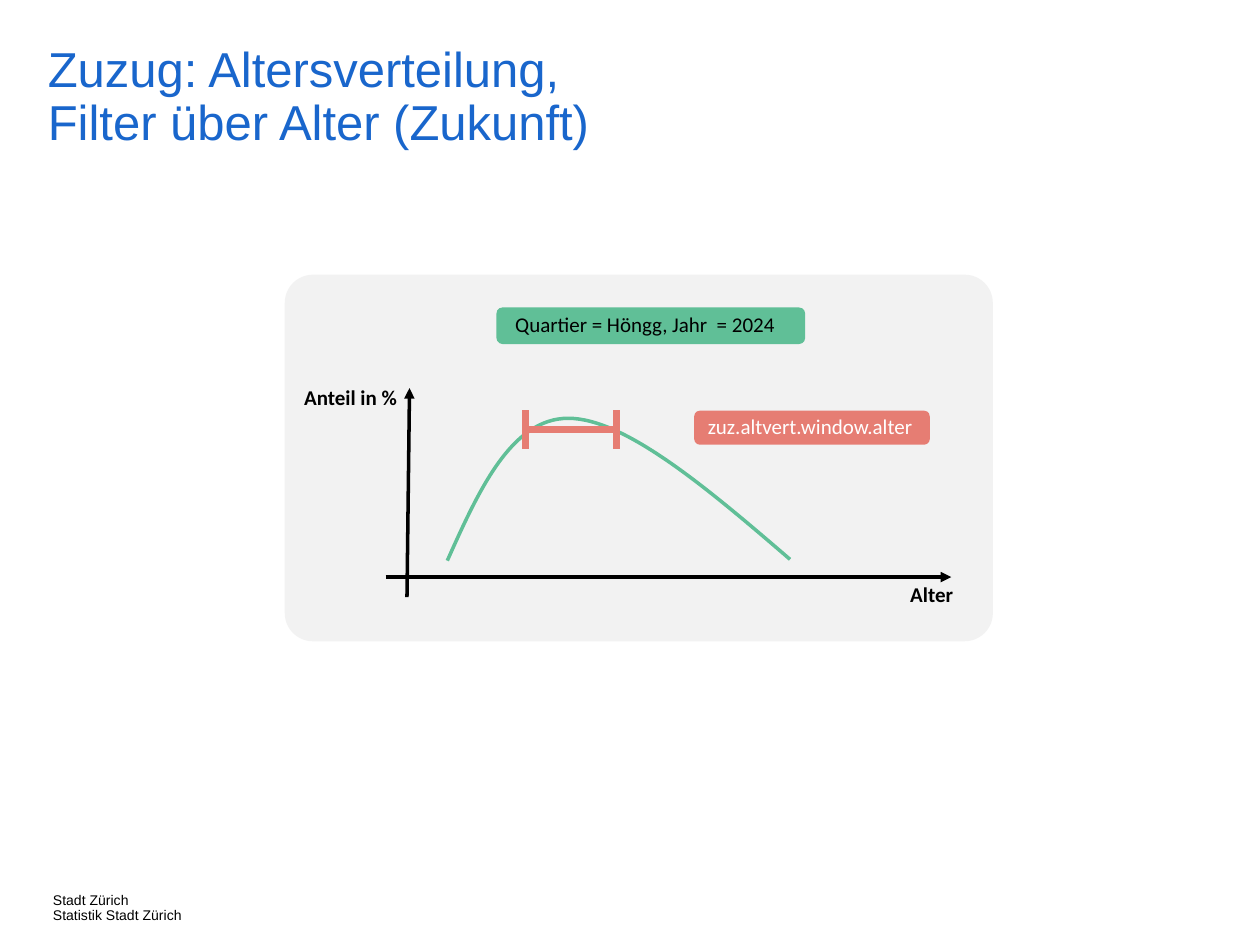
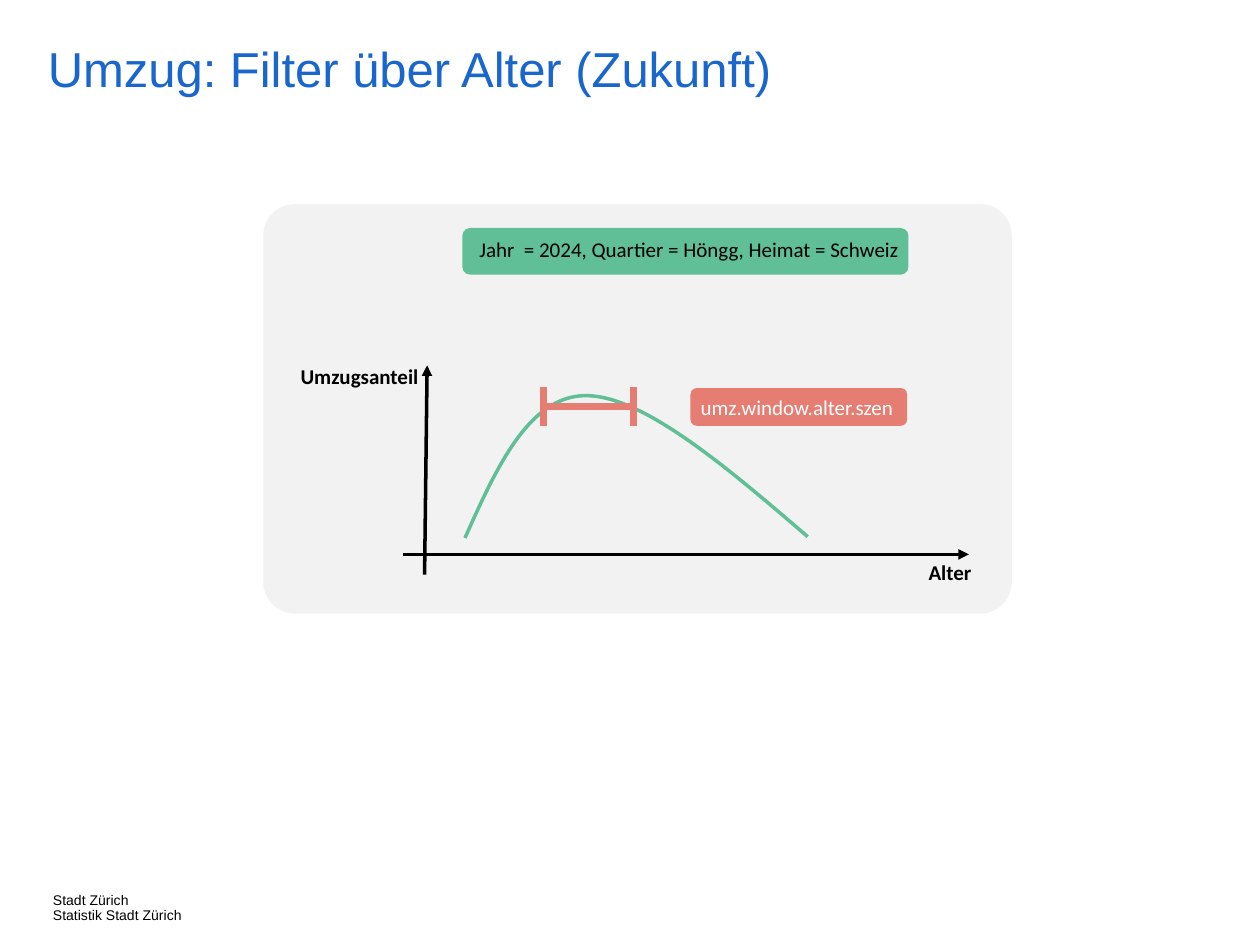
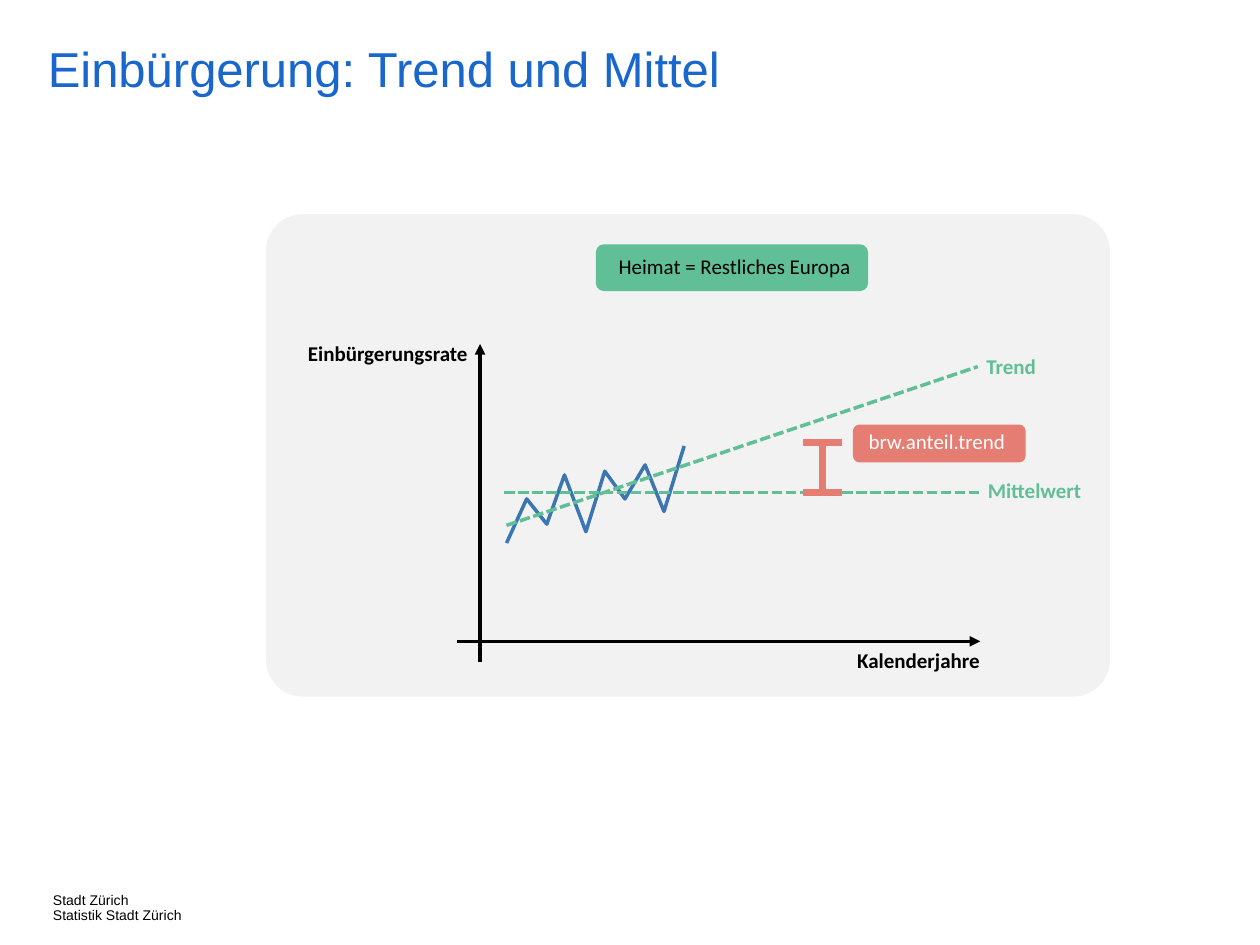
from dataclasses import dataclass
from typing import Optional

import lxml.etree
import pptx
import pptx.dml.color
import pptx.enum.dml
import pptx.enum.shapes
import pptx.enum.text
import pptx.oxml.ns
import pptx.presentation
import pptx.shapes.autoshape
import pptx.shapes.connector
import pptx.slide
import pptx.text.text
import pptx.util

Inches = pptx.util.Inches
RGBColor = pptx.dml.color.RGBColor
Align = pptx.enum.text.PP_ALIGN
Slide = pptx.slide.Slide
Point = tuple[float, float]
Box = tuple[float, float, float, float]

BLACK = RGBColor(0x00, 0x00, 0x00)
WHITE = RGBColor(0xFF, 0xFF, 0xFF)
TITLE_BLUE = RGBColor(0x19, 0x66, 0xCC)
SERIES_BLUE = RGBColor(0x3B, 0x76, 0xB3)
GREEN = RGBColor(0x60, 0xBF, 0x97)
RED = RGBColor(0xE6, 0x7D, 0x73)
PANEL_GRAY = RGBColor(0xF2, 0xF2, 0xF2)

HEADING_FONT = "Arial"
DIAGRAM_FONT = "Calibri"
LABEL_HEIGHT = 0.3
CAP_HALF = 0.155
PANEL_ROUNDING = 0.077


@dataclass
class Label:
    text: str
    left: float
    top: float
    width: float
    color: RGBColor = BLACK
    bold: bool = True
    align: Align = Align.RIGHT


@dataclass
class Pill:
    box: Box
    fill: RGBColor
    label: Label


@dataclass
class Line:
    start: Point
    end: Point
    color: RGBColor = BLACK
    weight: float = 2
    arrow: bool = False
    dashed: bool = False


@dataclass
class AgeSlide:
    title: list[str]
    panel: Box
    origin: Point
    labels: list[Label]
    pills: list[Pill]


def centered(text: str, left: float, top: float, width: float,
             color: RGBColor = BLACK, bold: bool = False) -> Label:
    return Label(text, left, top, width, color, bold, Align.CENTER)


AGE_SLIDES = [
    AgeSlide(
        ["Zuzug: Altersverteilung,", "Filter über Alter (Zukunft)"],
        (2.26, 2.18, 5.62, 2.91),
        (3.23, 4.58),
        [centered("Alter", 7.01, 4.57, 0.77, bold=True),
         Label("Anteil in %", 2.29, 3, 0.96)],
        [Pill((3.94, 2.44, 2.45, 0.29), GREEN,
              centered("Quartier = Höngg, Jahr  = 2024", 3.8, 2.42, 2.64)),
         Pill((5.51, 3.26, 1.87, 0.27), RED,
              centered("zuz.altvert.window.alter", 5.4, 3.23, 2.06, WHITE))],
    ),
    AgeSlide(
        ["Umzug: Filter über Alter (Zukunft)"],
        (2.09, 1.62, 5.94, 3.25),
        (3.37, 4.4),
        [centered("Alter", 6.92, 4.39, 1.24, bold=True),
         Label("Umzugsanteil", 2.18, 2.84, 1.24)],
        [Pill((5.48, 3.08, 1.72, 0.3), RED,
              centered("umz.window.alter.szen", 5.44, 3.08, 1.77, WHITE)),
         Pill((3.67, 1.81, 3.54, 0.37), GREEN,
              centered("Jahr  = 2024, Quartier = Höngg, Heimat = Schweiz",
                       3.66, 1.83, 3.62))],
    ),
]

AGE_CURVE = [(0.32, -0.13), (0.57, -0.69), (0.83, -1.26), (1.28, -1.26),
             (1.73, -1.26), (2.39, -0.7), (3.04, -0.14)]

RATE_SERIES = [(4.02, 4.31), (4.18, 3.96), (4.34, 4.16), (4.48, 3.77),
               (4.65, 4.22), (4.8, 3.74), (4.96, 3.96), (5.12, 3.69),
               (5.27, 4.06), (5.43, 3.54)]


def add_run(paragraph: pptx.text.text._Paragraph, text: str, font: str,
            size: float, color: RGBColor, bold: bool = False) -> None:
    run = paragraph.add_run()
    run.text = text
    run.font.name = font
    run.font.size = pptx.util.Pt(size)
    run.font.color.rgb = color
    run.font.bold = bold


def add_text_frame(slide: Slide, box: Box) -> pptx.text.text.TextFrame:
    frame = slide.shapes.add_textbox(*map(Inches, box)).text_frame
    frame.word_wrap = True
    return frame


def add_heading_frame(slide: Slide, box: Box) -> pptx.text.text.TextFrame:
    frame = add_text_frame(slide, box)
    frame.margin_left = frame.margin_right = 0
    frame.margin_top = frame.margin_bottom = 0
    return frame


def add_slide(presentation: pptx.presentation.Presentation,
              title: list[str], panel: Box) -> Slide:
    slide = presentation.slides.add_slide(presentation.slide_layouts[6])

    footer = add_heading_frame(slide, (0.42, 7.09, 1.31, 0.2))
    for index, text in enumerate(["Stadt Zürich", "Statistik Stadt Zürich"]):
        paragraph = footer.add_paragraph() if index else footer.paragraphs[0]
        paragraph.line_spacing = 0.9
        add_run(paragraph, text, HEADING_FONT, 8, BLACK)

    heading = add_heading_frame(slide, (0.38, 0.36, 8.4, 0.64)).paragraphs[0]
    heading.line_spacing = 0.9
    for index, text in enumerate(title):
        if index:
            heading.add_line_break()
        add_run(heading, text, HEADING_FONT, 28, TITLE_BLUE)

    add_rounded_box(slide, panel, PANEL_GRAY).adjustments[0] = PANEL_ROUNDING
    return slide


def add_rounded_box(slide: Slide, box: Box,
                    fill: RGBColor) -> pptx.shapes.autoshape.Shape:
    shape = slide.shapes.add_shape(
        pptx.enum.shapes.MSO_SHAPE.ROUNDED_RECTANGLE, *map(Inches, box))
    shape.shadow.inherit = False
    shape.fill.solid()
    shape.fill.fore_color.rgb = fill
    shape.line.fill.background()
    return shape


def add_label(slide: Slide, label: Label) -> None:
    frame = add_text_frame(
        slide, (label.left, label.top, label.width, LABEL_HEIGHT))
    frame.auto_size = pptx.enum.text.MSO_AUTO_SIZE.SHAPE_TO_FIT_TEXT
    paragraph = frame.paragraphs[0]
    paragraph.alignment = label.align
    add_run(paragraph, label.text, DIAGRAM_FONT, 12, label.color, label.bold)


def add_pill(slide: Slide, pill: Pill) -> None:
    add_rounded_box(slide, pill.box, pill.fill)
    add_label(slide, pill.label)


def add_line(slide: Slide, line: Line) -> None:
    connector = slide.shapes.add_connector(
        pptx.enum.shapes.MSO_CONNECTOR.STRAIGHT,
        *map(Inches, line.start + line.end))
    connector.line.color.rgb = line.color
    connector.line.width = pptx.util.Pt(line.weight)
    if line.dashed:
        connector.line.dash_style = pptx.enum.dml.MSO_LINE.SQUARE_DOT
        preset = connector.line._ln.find(pptx.oxml.ns.qn("a:prstDash"))
        preset.set("val", "sysDash")
    if line.arrow:
        lxml.etree.SubElement(connector.line._ln, pptx.oxml.ns.qn("a:tailEnd"),
                              type="triangle")
    lxml.etree.SubElement(connector._element.spPr,
                          pptx.oxml.ns.qn("a:effectLst"))


def add_range(slide: Slide, start: Point, end: Point) -> None:
    add_line(slide, Line(start, end, RED, 4))
    horizontal = start[1] == end[1]
    dx, dy = (0, CAP_HALF) if horizontal else (CAP_HALF, 0)
    for x, y in (start, end):
        add_line(slide, Line((x - dx, y - dy), (x + dx, y + dy), RED, 4))


def add_polyline(slide: Slide, points: list[Point], color: RGBColor,
                 width: float = 2) -> pptx.shapes.autoshape.Shape:
    vertices = [(Inches(x), Inches(y)) for x, y in points]
    builder = slide.shapes.build_freeform(*vertices[0])
    builder.add_line_segments(vertices[1:], close=False)
    shape = builder.convert_to_shape()
    shape.shadow.inherit = False
    shape.fill.background()
    shape.line.color.rgb = color
    shape.line.width = pptx.util.Pt(width)
    return shape


def add_bezier(slide: Slide, points: list[Point], color: RGBColor) -> None:
    shape = add_polyline(slide, points, color)
    segments = list(shape._element.iter(pptx.oxml.ns.qn("a:lnTo")))
    outline = segments[0].getparent()
    for first in range(0, len(segments), 3):
        curve = lxml.etree.SubElement(outline, pptx.oxml.ns.qn("a:cubicBezTo"))
        for segment in segments[first:first + 3]:
            curve.append(segment[0])
            outline.remove(segment)


def draw_age_slide(presentation: pptx.presentation.Presentation,
                   content: AgeSlide) -> None:
    slide = add_slide(presentation, content.title, content.panel)
    x, y = content.origin
    add_line(slide, Line((x - 0.17, y), (x + 4.32, y), arrow=True))
    add_line(slide, Line((x, y + 0.16), (x + 0.02, y - 1.5), arrow=True))
    add_bezier(slide, [(x + dx, y + dy) for dx, dy in AGE_CURVE], GREEN)
    add_range(slide, (x + 0.94, y - 1.17), (x + 1.66, y - 1.17))
    for label in content.labels:
        add_label(slide, label)
    for pill in content.pills:
        add_pill(slide, pill)


def draw_trend_slide(presentation: pptx.presentation.Presentation) -> None:
    slide = add_slide(presentation, ["Einbürgerung: Trend und Mittel"],
                      (2.11, 1.7, 6.7, 3.83))
    add_line(slide, Line((3.63, 5.09), (7.78, 5.09), arrow=True))
    add_polyline(slide, RATE_SERIES, SERIES_BLUE)
    add_line(slide, Line((4, 3.91), (7.78, 3.91), GREEN, dashed=True))
    add_line(slide, Line((4.02, 4.17), (7.76, 2.91), GREEN, dashed=True))
    add_line(slide, Line((3.81, 5.25), (3.81, 2.73), arrow=True))
    add_range(slide, (6.53, 3.51), (6.53, 3.91))
    for label in (
        centered("Kalenderjahre", 6.67, 5.09, 1.24, bold=True),
        Label("Einbürgerungsrate", 2.32, 2.65, 1.49),
        Label("Mittelwert", 7.44, 3.74, 1.24, GREEN),
        Label("Trend", 7.68, 2.76, 0.64, GREEN),
    ):
        add_label(slide, label)
    add_pill(slide, Pill((6.77, 3.37, 1.37, 0.3), RED,
                         centered("brw.anteil.trend", 6.69, 3.35, 1.49, WHITE)))
    add_pill(slide, Pill((4.73, 1.94, 2.16, 0.37), GREEN,
                         centered("Heimat = Restliches Europa", 4.02, 1.96, 3.62)))


def main() -> None:
    presentation = pptx.Presentation()
    presentation.slide_width = Inches(10)
    presentation.slide_height = Inches(7.5)
    for content in AGE_SLIDES:
        draw_age_slide(presentation, content)
    draw_trend_slide(presentation)
    presentation.save("out.pptx")


if __name__ == "__main__":
    main()
